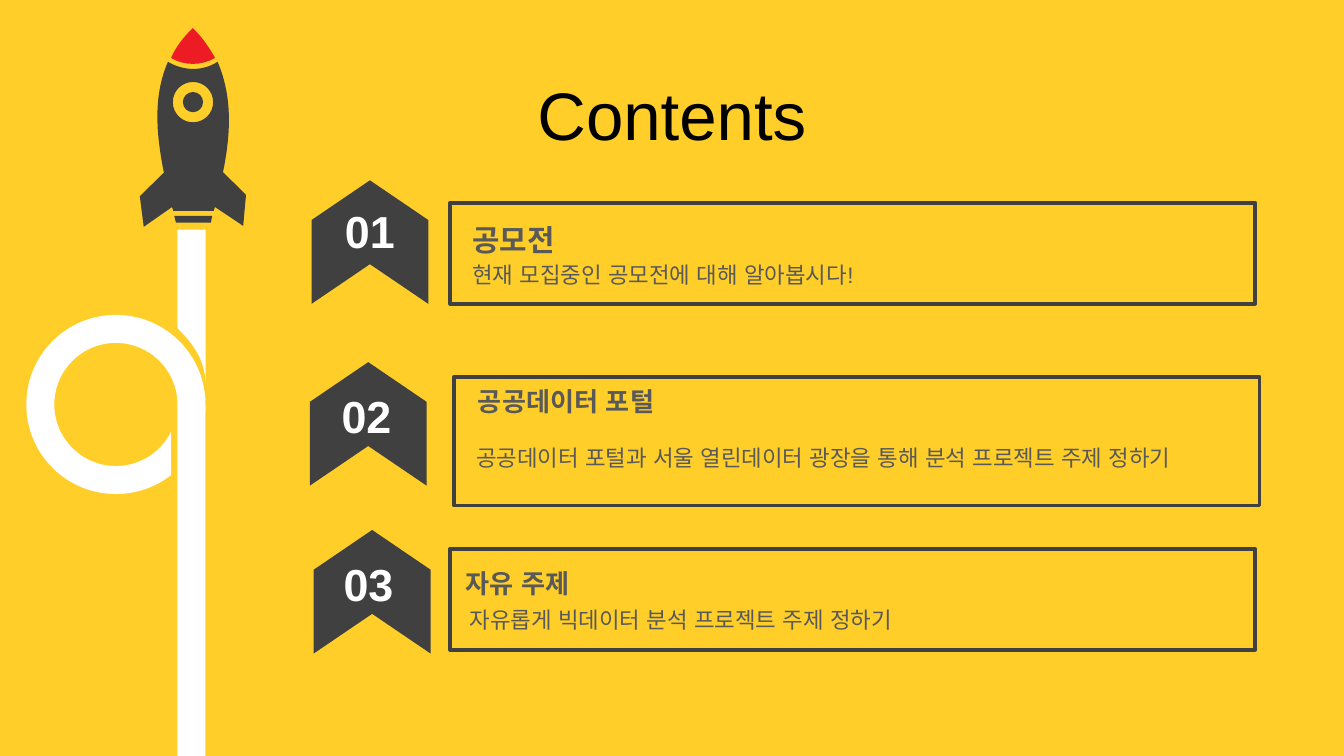
from math import cos, radians, sin, tan

from lxml.etree import SubElement
from pptx import Presentation
from pptx.dml.color import RGBColor
from pptx.enum.shapes import MSO_SHAPE as Shape
from pptx.enum.text import MSO_ANCHOR as Anchor, PP_ALIGN as Align
from pptx.oxml.ns import qn
from pptx.util import Pt

YELLOW = RGBColor(0xFF, 0xCE, 0x29)
DARK = RGBColor(0x40, 0x40, 0x40)
GREY = RGBColor(0x59, 0x59, 0x59)
RED = RGBColor(0xED, 0x1C, 0x24)
WHITE = RGBColor(0xFF, 0xFF, 0xFF)
BLACK = RGBColor(0, 0, 0)

# Content: each part has its own left and top, in points
TITLE = "Contents"
ROWS = [
    {"number": ("01", 176.2, 105.8), "badge": (165.1, 98.4), "frame": (241.2, 108.7, 54),
     "topic": ("공모전", 244.8, 113.8, 16),
     "detail": ("현재 모집중인 공모전에 대해 알아봅시다!", 244.8, 135.4, 23)},
    {"number": ("02", 174.4, 204.5), "badge": (164.2, 195.8), "frame": (243.4, 201.8, 69.1),
     "topic": ("공공데이터 포털", 247.7, 201.6, 14),
     "detail": ("공공데이터 포털과 서울 열린데이터 광장을 통해 분석 프로젝트 주제 정하기",
                246.2, 232.6, 38)},
    {"number": ("03", 175.4, 294.8), "badge": (166.3, 285.7), "frame": (241.2, 294.1, 54),
     "topic": ("자유 주제", 241.2, 299.1, 14),
     "detail": ("자유롭게 빅데이터 분석 프로젝트 주제 정하기", 243.4, 320, 23)},
]
FRAME_W, TEXT_W = 431.3, 396.7

# Outlines: a pair is a corner, six numbers are a Bezier curve
SMOKE = [(95, 123.1), (110.2, 123.1), (110.2, 204.5),
         (109.4, 192.2, 103.7, 184.3, 95, 175.7), (95, 123.1)]
TAIL = [(106.6, 217.4), (110.1, 217.4), (110.1, 223.2, 108.7, 229, 106.6, 234.7)]
NOSE = [(103.3, 15.1), (108.7, 20.2, 112.3, 25.9, 115.2, 31),
        (108, 35.3, 98.6, 35.3, 91.6, 31), (94.3, 25.2, 97.9, 20.2, 103.3, 15.1)]
HULL = [(90, 33.1), (98.6, 38.2, 108.7, 38.2, 116.6, 33.1),
        (125.3, 53.3, 123.1, 74.2, 119.5, 92.2), (131.8, 104.4), (130.3, 121),
        (115.2, 110.9), (114.5, 113), (92.9, 113), (92.2, 110.9), (75.1, 121.5),
        (74.9, 105.1), (87.8, 92.5), (84.2, 74.2, 81.4, 52.6, 90, 33.1)]
HULL[9] = (77, 121.5)
NOZZLE = [(93.4, 115.7), (113.7, 115.7), (113, 119.3), (94.3, 119.3)]
WINDOW, LOOP = (103.4, 54.7), (62.1, 216.7)


def arc(centre, radius, *stops):
    """Start point and one Bezier curve between each two stops, in degrees."""
    def at(angle, pull=0.0):
        a = radians(angle)
        return (centre[0] + radius * (cos(a) - pull * sin(a)),
                centre[1] + radius * (sin(a) + pull * cos(a)))

    outline = [at(stops[0])]
    for start, end in zip(stops, stops[1:]):
        pull = 4 / 3 * tan(radians(end - start) / 4)
        outline.append(at(start, pull) + at(end, -pull) + at(end))
    return outline


def draw(outlines, color):
    """Lay straight sides between the corners, then bend those that are curves."""
    corners = [[(part[-2] * 100, part[-1] * 100) for part in o] for o in outlines]
    builder = shapes.build_freeform(*corners[0][0], scale=Pt(1) / 100)
    for index, points in enumerate(corners):
        if index:
            builder.move_to(*points[0])
        builder.add_line_segments(points[1:], close=True)
    shape = builder.convert_to_shape()
    style(shape, color)

    origin = [min(point[k] for points in corners for point in points) for k in (0, 1)]
    parts = [part for o in outlines for part in o]
    sides = [side for side in shape.element.iter(qn("a:moveTo"), qn("a:lnTo"))]
    for side, part in zip(sides, parts):
        if len(part) == 6:
            side.tag = qn("a:cubicBezTo")
            controls = [SubElement(side, qn("a:pt")) for _ in range(2)]
            side.append(side[0])
            for control, point in zip(controls, (part[:2], part[2:4])):
                for key, value, start in zip("xy", point, origin):
                    control.set(key, str(round(value * 100 - start)))


def style(shape, fill=None, line=None):
    shape.shadow.inherit = False
    for fmt, color in ((shape.fill, fill), (shape.line.fill, line)):
        if color is None:
            fmt.background()
        else:
            fmt.solid()
            fmt.fore_color.rgb = color
    if line is not None:
        shape.line.width = Pt(2)


def add(kind, left, top, width, height, fill=None, line=None):
    shape = shapes.add_shape(kind, Pt(left), Pt(top), Pt(width), Pt(height))
    style(shape, fill, line)
    return shape


def write(shape, text, color, size, bold=False, align=Align.LEFT, anchor=Anchor.TOP):
    frame = shape.text_frame
    frame.text = text
    paragraph = frame.paragraphs[0]
    font = paragraph.runs[0].font
    formats = [(frame, {"word_wrap": True, "vertical_anchor": anchor}),
               (paragraph, {"alignment": align}),
               (font, {"name": "Arial", "size": Pt(size), "bold": bold})]
    for target, values in formats:
        for key, value in values.items():
            setattr(target, key, value)
    font.color.rgb = color
    # East Asian font, so that spaces take the same width
    SubElement(paragraph.runs[0]._r.get_or_add_rPr(), qn("a:ea")).set("typeface", "Arial")


# Slide, background and title
deck = Presentation()
deck.slide_width, deck.slide_height = Pt(720), Pt(405)
slide = deck.slides.add_slide(deck.slide_layouts[5])
shapes = slide.shapes
slide.background.fill.solid()
slide.background.fill.fore_color.rgb = YELLOW
title = shapes.title
for side, length in {"left": 0, "top": 38.2, "width": 720, "height": 45.4}.items():
    setattr(title, side, Pt(length))
write(title, TITLE, BLACK, 36, align=Align.CENTER, anchor=Anchor.MIDDLE)

# Rocket and its trail
ring = arc(LOOP, 48, 52, 90, 180, 270, 357)
inner = arc(LOOP, 33, 357, 270, 180, 90, 26)
draw([TAIL, ring + inner], WHITE)
draw([SMOKE], WHITE)
draw([NOZZLE, arc(WINDOW, 5.4, 0, 90, 180, 270, 360),
      arc(WINDOW, 10.8, 360, 270, 180, 90, 0), HULL], DARK)
add(Shape.RECTANGLE, 95, 213.1, 15.1, 191.9, WHITE)
draw([NOSE], RED)

# Numbered rows
for row in ROWS:
    left, top, height = row["frame"]
    add(Shape.RECTANGLE, left, top, FRAME_W, height, line=DARK)

    topic, left, top, size = row["topic"]
    write(add(Shape.ROUND_2_SAME_RECTANGLE, left, top, TEXT_W, size + 11.5),
          topic, GREY, size, bold=True)
    detail, left, top, height = row["detail"]
    write(add(Shape.ROUND_2_SAME_RECTANGLE, left, top, TEXT_W, height), detail, GREY, 12)

    badge = add(Shape.CHEVRON, *row["badge"], 66.2, 62.6, DARK)
    badge.rotation = 270
    badge.adjustments[0] = 0.34
    number, left, top = row["number"]
    label = shapes.add_textbox(Pt(left), Pt(top), Pt(43.9), Pt(36))
    write(label, number, WHITE, 24, bold=True, align=Align.CENTER)

deck.save("out.pptx")
